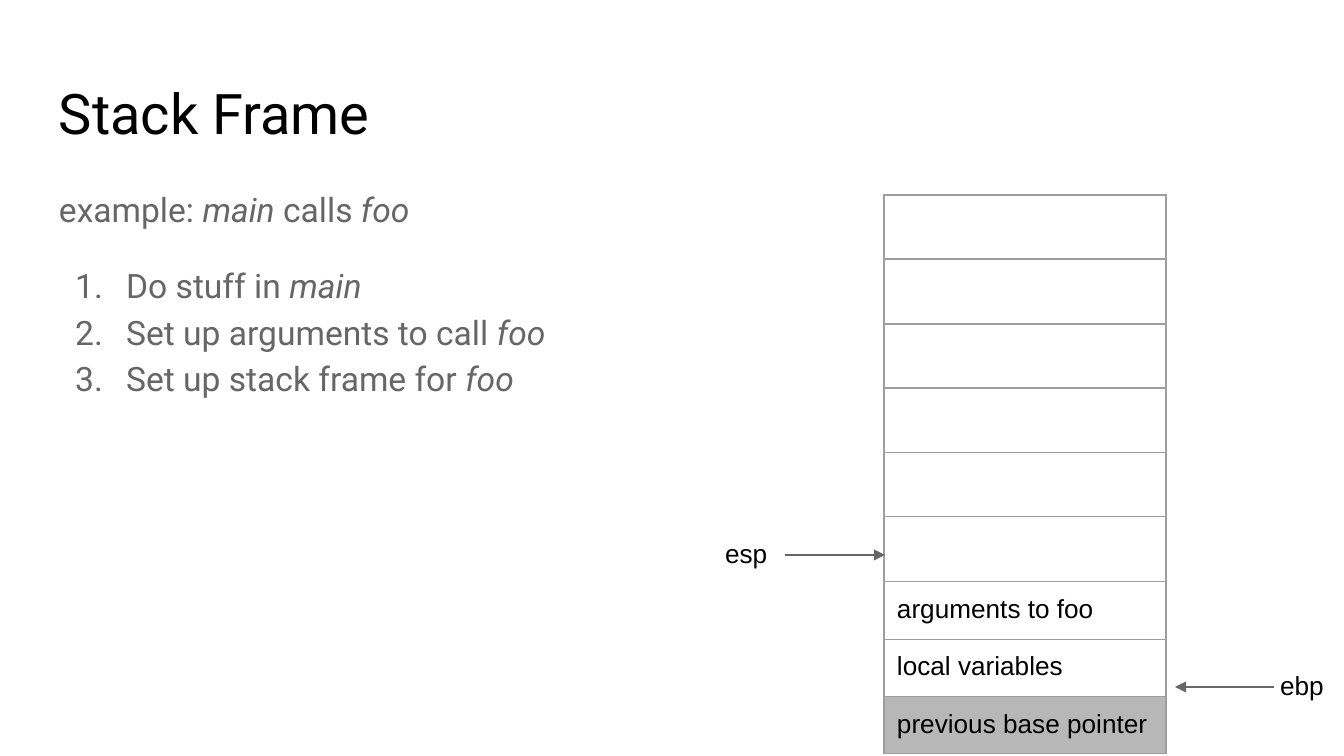
from lxml import etree
from pptx import Presentation
from pptx import util as u
from pptx.dml.color import RGBColor
from pptx.enum import shapes, text
from pptx.oxml import ns

COLORS = {"ink": "000000", "gray": "666666", "border": "9E9E9E",
          "white": "FFFFFF", "shade": "B7B7B7"}
SCALE = 914400 / 134.4
INSET = 13

TITLE = "Stack Frame"
# Runs are (text, italic)
INTRO = [("example: ", False), ("main", True), (" calls ", False), ("foo", True)]
STEPS = [
    [("Do stuff in ", False), ("main", True)],
    [("Set up arguments to call ", False), ("foo", True)],
    [("Set up stack frame for ", False), ("foo", True)],
]
# (text, fill, height)
STACK = [("", None, 64), ("", None, 65), ("", None, 64), ("", None, 65),
         ("", "white", 64), ("", "white", 65),
         ("arguments to foo", None, 56), ("local variables", None, 56),
         ("previous base pointer", "shade", 56)]
STACK_LEFT, STACK_TOP, STACK_WIDTH = 884, 195, 282
# (name, label left, label top, arrow start x, arrow end x, arrow y)
POINTERS = [("ebp", 1267, 656, 1274, 1175, 687),
            ("esp", 712, 524, 785, 885, 555)]


def px(n):
    return u.Emu(round(n * SCALE))


def rgb(name):
    return RGBColor.from_string(COLORS[name])


def add_run(p, words, size, font, color, italic=False):
    r = p.add_run()
    r.text = words
    r.font.size = u.Pt(size)
    r.font.name = font
    r.font.color.rgb = rgb(color)
    r.font.italic = italic


def set_insets(box):
    box.margin_left = box.margin_right = px(INSET)
    box.margin_top = box.margin_bottom = px(INSET)


def add_box(s, left, top, width, height):
    tf = s.shapes.add_textbox(px(left), px(top), px(width), px(height)).text_frame
    tf.word_wrap = True
    set_insets(tf)
    return tf


def number(p):
    """Turn a paragraph into an item of a numbered list."""
    pPr = p._p.get_or_add_pPr()
    pPr.set("marL", str(u.Inches(0.5)))
    pPr.set("indent", str(-u.Inches(0.38)))
    clr = etree.SubElement(pPr, ns.qn("a:buClr"))
    etree.SubElement(clr, ns.qn("a:srgbClr"), val=COLORS["gray"])
    etree.SubElement(pPr, ns.qn("a:buAutoNum"), type="arabicPeriod")


def add_borders(cell):
    tcPr = cell._tc.get_or_add_tcPr()
    for side in ("lnL", "lnR", "lnT", "lnB"):
        ln = etree.SubElement(tcPr, ns.qn("a:" + side), w=str(u.Pt(0.75)))
        fill = etree.SubElement(ln, ns.qn("a:solidFill"))
        etree.SubElement(fill, ns.qn("a:srgbClr"), val=COLORS["border"])


def add_title(s):
    title = s.shapes.title
    title.left, title.top, title.width, title.height = map(px, (46, 66, 1252, 85))
    tf = title.text_frame
    set_insets(tf)
    tf.vertical_anchor = text.MSO_ANCHOR.TOP
    tf.auto_size = text.MSO_AUTO_SIZE.NONE
    p = tf.paragraphs[0]
    p.alignment = text.PP_ALIGN.LEFT
    p.line_spacing = 1.0
    add_run(p, TITLE, 30, "Roboto", "ink")


def add_body(s):
    tf = add_box(s, 46, 170, 1252, 503)
    for i, runs in enumerate([INTRO] + STEPS):
        p = tf.add_paragraph() if i else tf.paragraphs[0]
        if i:
            number(p)
        p.line_spacing = 1.15
        if i == 1:
            p.space_before = u.Pt(16)
        for words, italic in runs:
            add_run(p, words, 18, "Roboto", "gray", italic)


def add_stack(s):
    total = sum(height for _, _, height in STACK)
    table = s.shapes.add_table(len(STACK), 1, px(STACK_LEFT), px(STACK_TOP),
                               px(STACK_WIDTH), px(total)).table
    table.first_row = table.horz_banding = False
    table.columns[0].width = px(STACK_WIDTH)
    for row, (words, fill, height) in zip(table.rows, STACK):
        row.height = px(height)
        cell = row.cells[0]
        add_borders(cell)
        if fill:
            cell.fill.solid()
            cell.fill.fore_color.rgb = rgb(fill)
        else:
            cell.fill.background()
        if words:
            set_insets(cell)
            add_run(cell.text_frame.paragraphs[0], words, 14, "Arial", "ink")


def add_pointer(s, name, left, top, start, end, y):
    arrow = s.shapes.add_connector(shapes.MSO_CONNECTOR.STRAIGHT,
                                   px(start), px(y), px(end), px(y))
    arrow.line.color.rgb = rgb("gray")
    arrow.line.width = u.Pt(0.75)
    etree.SubElement(arrow.line._get_or_add_ln(), ns.qn("a:tailEnd"), type="triangle")
    etree.SubElement(arrow._element.spPr, ns.qn("a:effectLst"))
    tf = add_box(s, left, top, 152, 62)
    add_run(tf.paragraphs[0], name, 14, "Arial", "ink")


def main():
    prs = Presentation()
    prs.slide_width, prs.slide_height = px(1344), px(756)
    s = prs.slides.add_slide(prs.slide_layouts[5])
    add_title(s)
    add_body(s)
    add_stack(s)
    for pointer in POINTERS:
        add_pointer(s, *pointer)
    prs.save("out.pptx")


if __name__ == "__main__":
    main()
